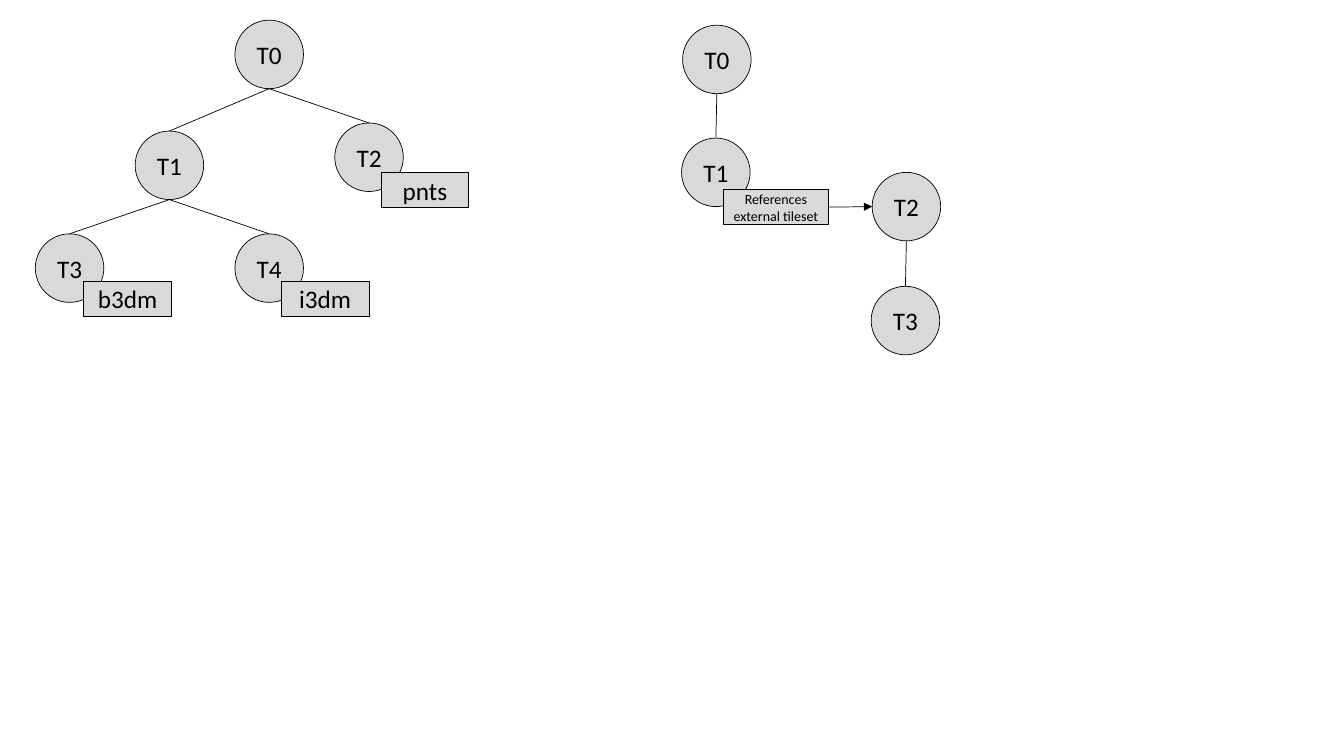
"""Build a slide with two tile trees: one tileset, and one referencing an external tileset."""
from dataclasses import dataclass

import pptx
import pptx.dml.color
import pptx.enum.shapes
import pptx.enum.text
import pptx.oxml
import pptx.oxml.ns
import pptx.util
from pptx.util import Inches

BLACK = pptx.dml.color.RGBColor(0x00, 0x00, 0x00)
TILE_GREY = pptx.dml.color.RGBColor(0xD9, 0xD9, 0xD9)
OVAL = pptx.enum.shapes.MSO_SHAPE.OVAL
RECTANGLE = pptx.enum.shapes.MSO_SHAPE.RECTANGLE
DIAMETER = 0.68
LABEL_HEIGHT = 0.35
TOP, RIGHT = 0, 3


@dataclass(frozen=True)
class Tile:
    name: str
    left: float
    top: float


@dataclass(frozen=True)
class Content:
    text: str
    left: float
    top: float
    width: float = 0.87
    size: int = 18


@dataclass(frozen=True)
class Tree:
    tiles: tuple[Tile, ...]
    contents: tuple[Content, ...]
    branches: tuple[tuple[str, str], ...]


TILESET = Tree(
    tiles=(
        Tile("T0", 2.33, 0.2),
        Tile("T1", 1.34, 1.3),
        Tile("T2", 3.32, 1.22),
        Tile("T3", 0.35, 2.32),
        Tile("T4", 2.33, 2.32),
    ),
    contents=(
        Content("b3dm", 0.83, 2.79),
        Content("i3dm", 2.79, 2.79),
        Content("pnts", 3.78, 1.71),
    ),
    branches=(("T0", "T1"), ("T0", "T2"), ("T1", "T3"), ("T1", "T4")),
)
EXTERNAL_REFERENCE = Content("References external tileset", 7.17, 1.88, 1.05, 10)
EXTERNAL_TILESET = Tree(
    tiles=(
        Tile("T0", 6.77, 0.25),
        Tile("T1", 6.76, 1.37),
        Tile("T2", 8.65, 1.71),
        Tile("T3", 8.64, 2.84),
    ),
    contents=(EXTERNAL_REFERENCE,),
    branches=(("T0", "T1"), ("T2", "T3")),
)


def add_node(slide, kind, text: str, left: float, top: float,
             width: float, height: float, size: int):
    node = slide.shapes.add_shape(
        kind, Inches(left), Inches(top), Inches(width), Inches(height))
    node.shadow.inherit = False
    node.fill.solid()
    node.fill.fore_color.rgb = TILE_GREY
    node.line.color.rgb = BLACK
    node.line.width = pptx.util.Pt(0.5)
    frame = node.text_frame
    frame.word_wrap = True
    frame.margin_left = frame.margin_right = Inches(0.05)
    frame.margin_top = frame.margin_bottom = 0
    frame.vertical_anchor = pptx.enum.text.MSO_ANCHOR.MIDDLE
    frame.text = text
    paragraph = frame.paragraphs[0]
    paragraph.alignment = pptx.enum.text.PP_ALIGN.CENTER
    font = paragraph.runs[0].font
    font.name = "Calibri"
    font.size = pptx.util.Pt(size)
    font.color.rgb = BLACK
    return node


def add_link(slide, start: tuple[int, int], end: tuple[int, int]):
    link = slide.shapes.add_connector(
        pptx.enum.shapes.MSO_CONNECTOR.STRAIGHT, *start, *end)
    link.line.color.rgb = BLACK
    link.line.width = pptx.util.Pt(0.5)
    properties = link._element.spPr
    properties.append(pptx.oxml.parse_xml(
        f"<a:effectLst {pptx.oxml.ns.nsdecls('a')}/>"))
    return link


def add_arrowhead(link) -> None:
    link.line._get_or_add_ln().append(pptx.oxml.parse_xml(
        f"<a:tailEnd {pptx.oxml.ns.nsdecls('a')} type='triangle'/>"))


def draw_tree(slide, tree: Tree) -> dict:
    nodes = {}
    for tile in tree.tiles:
        nodes[tile.name] = add_node(slide, OVAL, tile.name, tile.left, tile.top,
                                    DIAMETER, DIAMETER, 18)
    for content in tree.contents:
        nodes[content.text] = add_node(
            slide, RECTANGLE, content.text, content.left, content.top,
            content.width, LABEL_HEIGHT, content.size)
    for parent_name, child_name in tree.branches:
        parent, child = nodes[parent_name], nodes[child_name]
        parent_bottom = (parent.left + parent.width // 2, parent.top + parent.height)
        child_top = (child.left + child.width // 2, child.top)
        branch = add_link(slide, parent_bottom, child_top)
        branch.end_connect(child, TOP)
    return nodes


def main() -> None:
    presentation = pptx.Presentation()
    presentation.slide_width = Inches(13.33)
    presentation.slide_height = Inches(7.5)
    slide = presentation.slides.add_slide(presentation.slide_layouts[6])

    draw_tree(slide, TILESET)
    nodes = draw_tree(slide, EXTERNAL_TILESET)

    reference = nodes[EXTERNAL_REFERENCE.text]
    external_root = nodes["T2"]
    arrow_y = external_root.top + external_root.height // 2
    arrow = add_link(slide, (reference.left + reference.width, arrow_y),
                     (external_root.left, arrow_y))
    arrow.begin_connect(reference, RIGHT)
    add_arrowhead(arrow)

    presentation.save("out.pptx")


if __name__ == "__main__":
    main()
